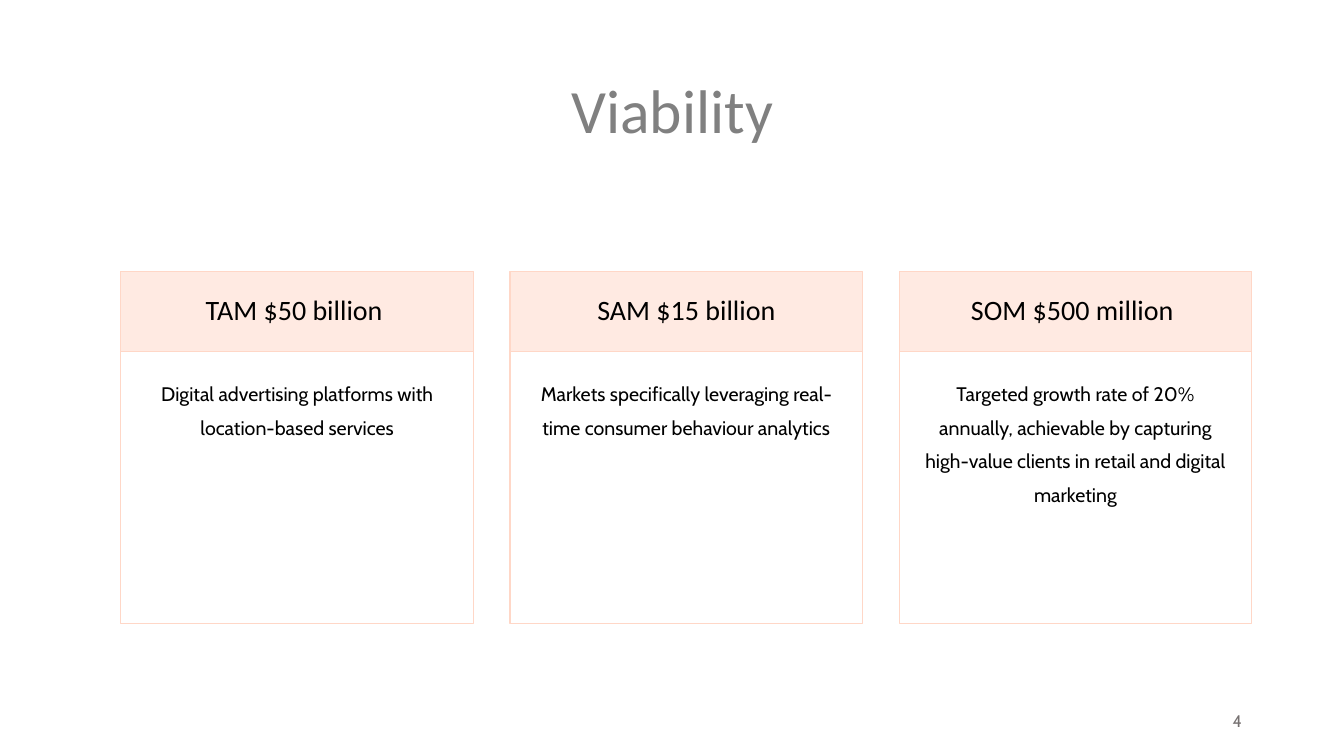
from lxml.etree import SubElement
from pptx import Presentation
from pptx.dml.color import RGBColor
from pptx.enum.shapes import MSO_SHAPE as Shape
from pptx.enum.text import MSO_ANCHOR as Anchor, PP_ALIGN as Align
from pptx.oxml.ns import qn
from pptx.util import Pt

COLOURS = {"peach": "FFD7C7", "title": "808080", "text": "000000", "number": "767171"}
MARKETS = [
    ("TAM $50 billion ", "Digital advertising platforms with location-based services"),
    ("SAM $15 billion", "Markets specifically leveraging real-time consumer behaviour analytics"),
    ("SOM $500 million ", "Targeted growth rate of 20% annually, achievable by capturing "
                          "high-value clients in retail and digital marketing"),
]


def colour(name):
    return RGBColor.from_string(COLOURS[name])


def write(box, text, size=14, font="Calibri", ink="text", align=Align.CENTER,
          anchor=Anchor.MIDDLE, spacing=None, insets=(7.2, 3.6, 7.2, 3.6)):
    frame = box.text_frame
    frame.word_wrap = True
    frame.vertical_anchor = anchor
    (frame.margin_left, frame.margin_top,
     frame.margin_right, frame.margin_bottom) = map(Pt, insets)
    para = frame.paragraphs[0]
    para.alignment = align
    para.line_spacing = spacing
    span = para.add_run()
    span.text = text
    span.font.size = Pt(size)
    span.font.name = font
    span.font.color.rgb = colour(ink)


class SlideBuilder:
    def __init__(self, page):
        self.page = page

    def label(self, text, left, top, width, height, **style):
        box = self.page.shapes.add_textbox(Pt(left), Pt(top), Pt(width), Pt(height))
        write(box, text, **style)

    def panel(self, text, left, top, width, height, opacity=0, **style):
        box = self.page.shapes.add_shape(
            Shape.RECTANGLE, Pt(left), Pt(top), Pt(width), Pt(height))
        box.shadow.inherit = False
        box.line.color.rgb = colour("peach")
        box.line.width = Pt(0.75)
        if opacity:
            box.fill.solid()
            box.fill.fore_color.rgb = colour("peach")
            tint = box.fill._xPr.find(qn("a:solidFill"))[0]
            SubElement(tint, qn("a:alpha"), val=str(opacity * 1000))
        else:
            box.fill.background()
        write(box, text, **style)

    def card(self, heading, detail, left, top=193.68, width=252,
             heading_height=57.6, detail_height=194.4):
        self.panel(heading, left, top, width, heading_height,
                   opacity=50, size=20, spacing=0.9)
        self.panel(detail, left, top + heading_height, width, detail_height,
                   font="Cabin", anchor=Anchor.TOP, spacing=Pt(24),
                   insets=(14.4, 14.4, 14.4, 3.6))


def main():
    deck = Presentation()
    deck.slide_width, deck.slide_height = Pt(960), Pt(540)
    builder = SlideBuilder(deck.slides.add_slide(deck.slide_layouts[6]))
    builder.label("Viability", 66.24, 28.8, 828, 83.52, size=44, ink="title",
                  anchor=Anchor.BOTTOM, spacing=0.9, insets=(7.2, 3.6, 7.2, 7.2))
    for column, (heading, detail) in enumerate(MARKETS):
        builder.card(heading, detail, left=86.4 + column * 277.92)
    builder.label("4", 678.24, 500.4, 216, 28.8, size=12, font="Cabin",
                  ink="number", align=Align.RIGHT)
    deck.save("out.pptx")


if __name__ == "__main__":
    main()
